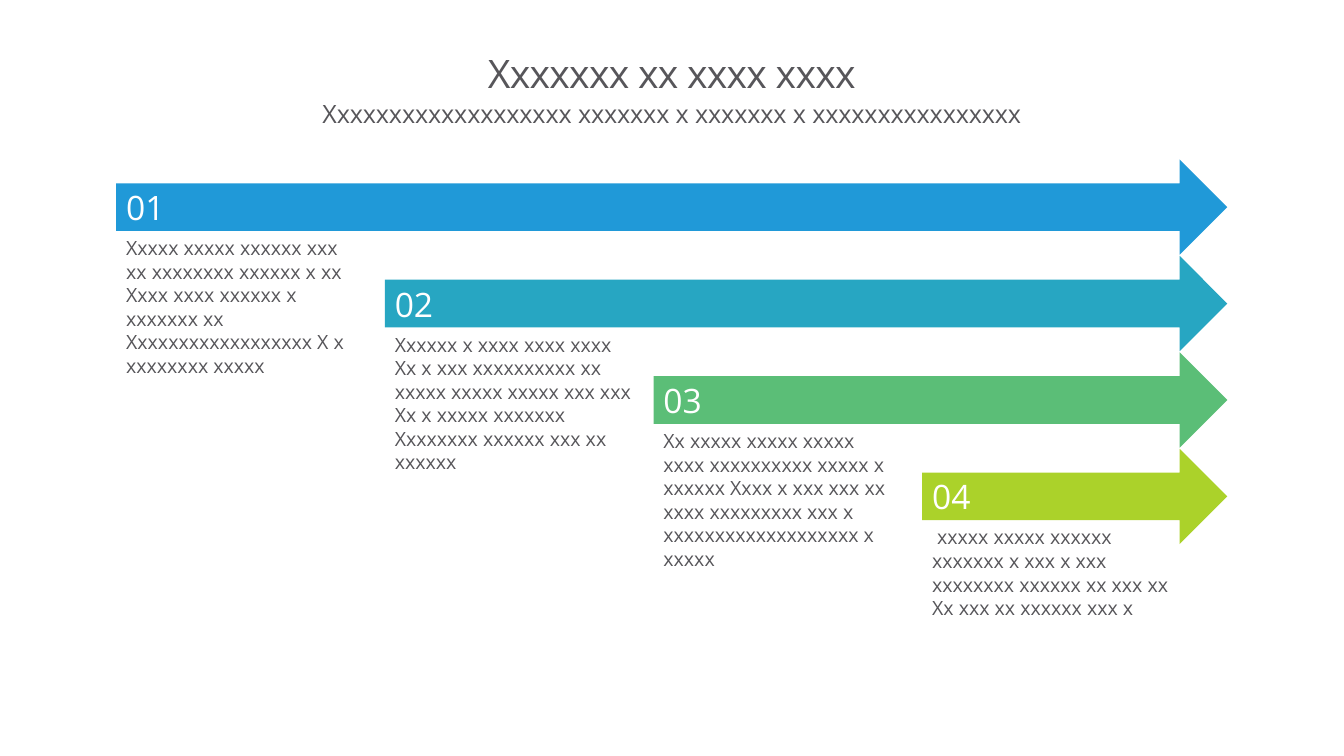
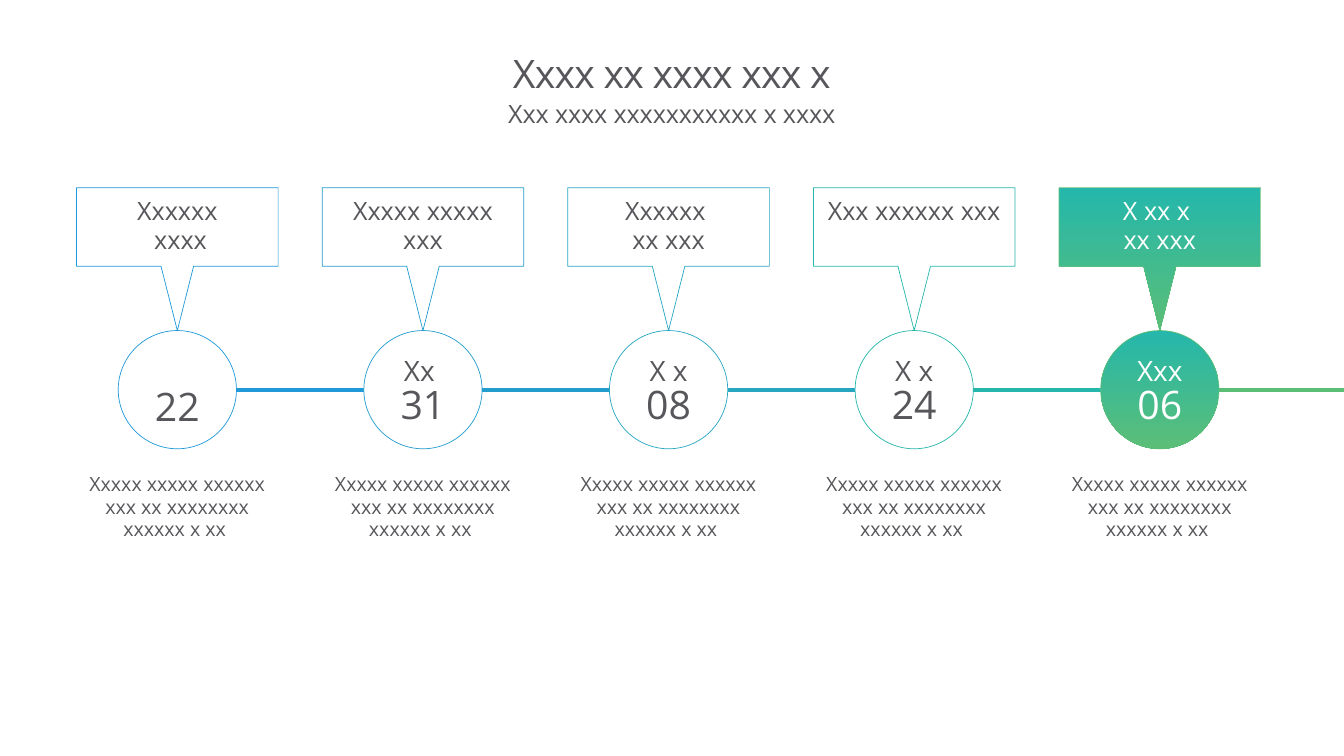
import pptx
import pptx.util
import pptx.dml.color
import pptx.enum.shapes
import pptx.enum.text
import pptx.oxml.ns
import lxml.etree

Cm = pptx.util.Cm
Pt = pptx.util.Pt
RGB = pptx.dml.color.RGBColor.from_string
Shape = pptx.enum.shapes.MSO_SHAPE
Align = pptx.enum.text.PP_ALIGN
Anchor = pptx.enum.text.MSO_ANCHOR
AutoSize = pptx.enum.text.MSO_AUTO_SIZE


class Theme:
    font = "Open Sans"
    text = "57565A"
    white = "FFFFFF"
    blue = "2099D8"
    sky = "239CCE"
    teal = "27A6C2"
    sea = "25B7AB"
    green = "5BBE77"
    lime = "ABD22A"
    title_size = 28
    subtitle_size = 18
    arrow_size = 24
    body_size = 14
    callout_size = 18
    month_size = 20
    day_size = 28


def write(shape, lines, sizes, color=Theme.text, align=Align.LEFT, anchor=Anchor.TOP,
          spacing=None, insets=(0.25, 0.13, 0.25, 0.13), wrap=True, grow=False, tracking=0):
    tf = shape.text_frame
    tf.word_wrap = wrap
    tf.auto_size = AutoSize.SHAPE_TO_FIT_TEXT if grow else AutoSize.NONE
    tf.vertical_anchor = anchor
    tf.margin_left, tf.margin_top, tf.margin_right, tf.margin_bottom = map(Cm, insets)
    for i, (line, size) in enumerate(zip(lines, sizes)):
        p = tf.paragraphs[0] if i == 0 else tf.add_paragraph()
        p.text = line
        p.alignment = align
        p.line_spacing = spacing
        for r in p.runs:
            r.font.name = Theme.font
            r.font.size = Pt(size)
            r.font.color.rgb = RGB(color)
            if tracking:
                r._r.get_or_add_rPr().set("spc", str(tracking))


def add_headed_slide(title, subtitle):
    s = prs.slides.add_slide(prs.slide_layouts[5])
    heading = s.shapes.title
    heading.left, heading.top, heading.width, heading.height = Cm(2.54), Cm(0.79), Cm(28.78), Cm(2.26)
    subheading = s.shapes.add_textbox(Cm(2.54), Cm(2.59), Cm(28.78), Cm(1.12))
    shared = dict(align=Align.CENTER, spacing=0.86, insets=(0, 0, 0, 0))
    write(heading, [title], [Theme.title_size], anchor=Anchor.MIDDLE, tracking=-50, **shared)
    write(subheading, [subtitle], [Theme.subtitle_size], tracking=-10, **shared)
    return s


prs = pptx.Presentation()
prs.slide_width, prs.slide_height = Cm(33.87), Cm(19.05)

s = add_headed_slide("Xxxxxxx xx xxxx xxxx",
                     "Xxxxxxxxxxxxxxxxxxx xxxxxxx x xxxxxxx x xxxxxxxxxxxxxxxx")
steps = [
    (Theme.blue, "Xxxxx xxxxx xxxxxx xxx xx xxxxxxxx xxxxxx x xx Xxxx xxxx xxxxxx x xxxxxxx xx "
                 "Xxxxxxxxxxxxxxxxxx X x xxxxxxxx xxxxx"),
    (Theme.teal, "Xxxxxx x xxxx xxxx xxxx Xx x xxx xxxxxxxxxx xx xxxxx xxxxx xxxxx xxx xxx "
                 "Xx x xxxxx xxxxxxx Xxxxxxxx xxxxxx xxx xx xxxxxx"),
    (Theme.green, "Xx xxxxx xxxxx xxxxx xxxx xxxxxxxxxx xxxxx x xxxxxx Xxxx x xxx xxx xx "
                  "xxxx xxxxxxxxx xxx x xxxxxxxxxxxxxxxxxxx x xxxxx"),
    (Theme.lime, " xxxxx xxxxx xxxxxx xxxxxxx x xxx x xxx xxxxxxxx xxxxxx xx xxx xx "
                 "Xx xxx xx xxxxxx xxx x"),
]
arrow_tip = 30.93
for i, (color, description) in enumerate(steps):
    left = 2.93 + 6.77 * i
    top = 4.02 + 2.43 * i
    arrow = s.shapes.add_shape(Shape.RIGHT_ARROW, Cm(left), Cm(top), Cm(arrow_tip - left), Cm(2.4))
    arrow.shadow.inherit = False
    arrow.fill.solid()
    arrow.fill.fore_color.rgb = RGB(color)
    arrow.line.fill.background()
    write(arrow, [f"{i + 1:02}"], [Theme.arrow_size], color=Theme.white, anchor=Anchor.MIDDLE)
    caption = s.shapes.add_textbox(Cm(left), Cm(top + 1.8), Cm(6.48), Cm(3.25))
    write(caption, [description], [Theme.body_size], grow=True)

s = add_headed_slide("Xxxx xx xxxx xxx x", "Xxx xxxx xxxxxxxxxxx x xxxx")
milestones = [
    (Theme.blue, ["22"], ["Xxxxxx", " xxxx"]),
    (Theme.sky, ["Xx ", "31"], ["Xxxxx xxxxx xxx"]),
    (Theme.teal, ["X x", "08"], ["Xxxxxx \vxx xxx"]),
    (Theme.sea, ["X x", "24"], ["Xxx xxxxxx xxx"]),
    (Theme.green, ["Xxx", "06"], ["X xx x \vxx xxx"]),
]
first_center, pitch = 4.47, 6.19
callout_width, callout_top, callout_bottom = 5.08, 4.73, 6.71
tail_half, tail_tip = 0.41, 8.33
diameter = 2.98
radius = diameter / 2
axis = tail_tip + radius
for i, (color, date, label) in enumerate(milestones):
    center = first_center + pitch * i
    left = center - callout_width / 2
    right = center + callout_width / 2
    is_last = i == len(milestones) - 1
    text_color = Theme.white if is_last else Theme.text

    circle = s.shapes.add_shape(Shape.OVAL, Cm(center - radius), Cm(tail_tip), Cm(diameter), Cm(diameter))
    outline = s.shapes.build_freeform(Cm(left), Cm(callout_top))
    outline.add_line_segments([(Cm(x), Cm(y)) for x, y in [
        (right, callout_top), (right, callout_bottom), (center + tail_half, callout_bottom),
        (center, tail_tip), (center - tail_half, callout_bottom), (left, callout_bottom)]])
    callout = outline.convert_to_shape()
    for marker in (circle, callout):
        marker.shadow.inherit = False
        marker.line.color.rgb = RGB(color)
        marker.line.width = Pt(0.5)
        if is_last:
            marker.fill.gradient()
            marker.fill.gradient_angle = 270
            for stop, stop_color in zip(marker.fill.gradient_stops, (Theme.sea, Theme.green)):
                stop.color.rgb = RGB(stop_color)
        else:
            marker.fill.solid()
            marker.fill.fore_color.rgb = RGB(Theme.white)

    date_top = 0.36 if len(date) == 2 else 1.18
    write(circle, date, [Theme.month_size, Theme.day_size][-len(date):], color=text_color,
          align=Align.CENTER, anchor=Anchor.MIDDLE, spacing=0.85,
          insets=(0, date_top, 0, 0.18), wrap=False)
    write(callout, label, [Theme.callout_size] * len(label), color=text_color,
          align=Align.CENTER, spacing=0.95, insets=(0.25, 0.25, 0.25, 0.2))

    line_end = Cm(center + pitch - radius)
    link = s.shapes.add_connector(pptx.enum.shapes.MSO_CONNECTOR.STRAIGHT, Cm(center + radius), Cm(axis),
                                  min(line_end, prs.slide_width), Cm(axis))
    link.line.color.rgb = RGB(color)
    link.line.width = Pt(3)
    lxml.etree.SubElement(link._element.spPr, pptx.oxml.ns.qn("a:effectLst"))

    caption = s.shapes.add_textbox(Cm(left), Cm(11.81), Cm(callout_width), Cm(1.96))
    write(caption, ["Xxxxx xxxxx xxxxxx xxx xx xxxxxxxx xxxxxx x xx "], [Theme.body_size],
          align=Align.CENTER, spacing=0.95, grow=True)

prs.save("out.pptx")
